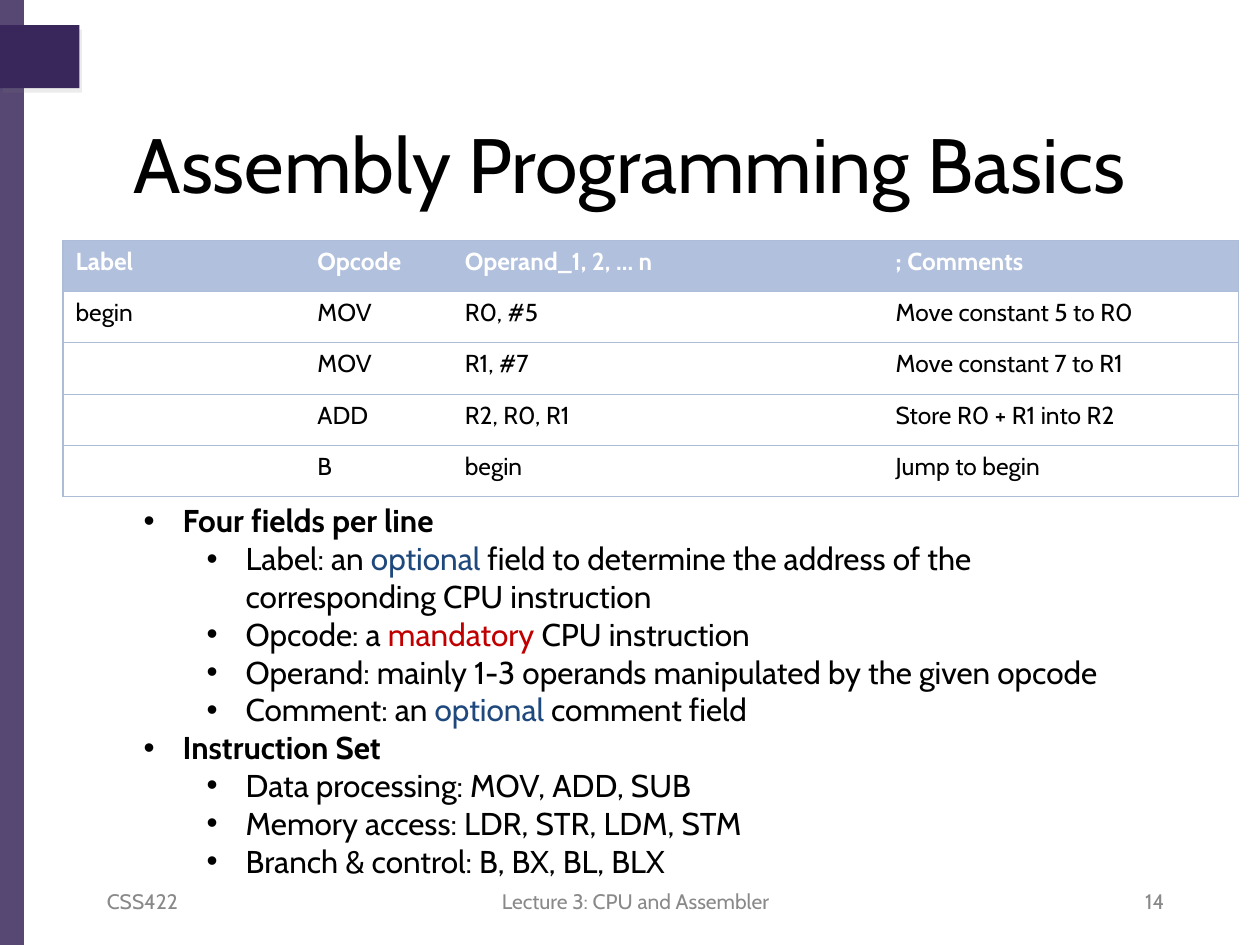
from typing import NamedTuple

from lxml.etree import SubElement
from pptx import Presentation
from pptx.dml.color import RGBColor
from pptx.enum.shapes import MSO_SHAPE
from pptx.enum.text import MSO_ANCHOR, PP_ALIGN
from pptx.oxml.ns import qn
from pptx.util import Inches, Pt

FONT = "Cabin"
BLACK, WHITE, GREY = "000000", "FFFFFF", "898989"
PURPLE, BLUE, RED = "39275B", "1F497D", "C00000"
HEADER_FILL, RULE = "B1C0DC", "ADBCD7"


class Bar(NamedTuple):
    top: float
    width: float
    height: float


class Footer(NamedTuple):
    text: str
    left: float
    width: float
    align: PP_ALIGN


class Bullet(NamedTuple):
    level: int
    pieces: tuple


FOOTERS = [
    Footer("CSS422", 0.75, 2.33, PP_ALIGN.LEFT),
    Footer("Lecture 3: CPU and Assembler", 3.46, 3.17, PP_ALIGN.CENTER),
    Footer("14", 7.01, 2.33, PP_ALIGN.RIGHT),
]
COLUMN_WIDTHS = [1.92, 1.17, 3.42, 2.82]
ROWS = [
    ["Label", "Opcode", "Operand_1, 2, ... n", "; Comments"],
    ["begin", "MOV", "R0, #5", "Move constant 5 to R0"],
    ["", "MOV", "R1, #7", "Move constant 7 to R1"],
    ["", "ADD", "R2, R0, R1", "Store R0 + R1 into R2"],
    ["", "B", "begin", "Jump to begin"],
]
BULLETS = [
    Bullet(0, (("Four fields per line", BLACK),)),
    Bullet(1, (("Label: an ", BLACK), ("optional", BLUE),
               (" field to determine the address of the corresponding CPU instruction", BLACK))),
    Bullet(1, (("Opcode: a ", BLACK), ("mandatory", RED), (" CPU instruction", BLACK))),
    Bullet(1, (("Operand: mainly 1-3 operands manipulated by the given opcode", BLACK),)),
    Bullet(1, (("Comment: an ", BLACK), ("optional", BLUE), (" comment field", BLACK))),
    Bullet(0, (("Instruction Set", BLACK),)),
    Bullet(1, (("Data processing: MOV, ADD, SUB", BLACK),)),
    Bullet(1, (("Memory access: LDR, STR, LDM, STM", BLACK),)),
    Bullet(1, (("Branch & control: B, BX, BL, BLX", BLACK),)),
]


def rgb(color: str) -> RGBColor:
    return RGBColor.from_string(color)


def write(para, text: str, *, size: float, color: str = BLACK, bold: bool = False, align=None) -> None:
    if align is not None:
        para.alignment = align
    span = para.add_run()
    span.text = text
    span.font.name = FONT
    span.font.size = Pt(size)
    span.font.bold = bold
    span.font.color.rgb = rgb(color)


def place(box, left: float, top: float, width: float, height: float) -> None:
    box.left, box.top = Inches(left), Inches(top)
    box.width, box.height = Inches(width), Inches(height)


def draw_bar(page, bar: Bar):
    shape = page.shapes.add_shape(
        MSO_SHAPE.RECTANGLE, 0, Inches(bar.top), Inches(bar.width), Inches(bar.height))
    shape.shadow.inherit = False
    shape.fill.solid()
    shape.fill.fore_color.rgb = rgb(PURPLE)
    shape.line.fill.background()
    return shape


def set_alpha(color_element, percent: int) -> None:
    SubElement(color_element, qn("a:alpha"), val=str(percent * 1000))


def add_shadow(shape) -> None:
    effects = shape._element.spPr.find(qn("a:effectLst"))
    shadow = SubElement(effects, qn("a:outerShdw"), blurRad="0", dist=str(Pt(3)),
                        dir=str(60 * 60000), algn="tl", rotWithShape="0")
    set_alpha(SubElement(shadow, qn("a:srgbClr"), val="808080"), 15)


def draw_footer(page, footer: Footer) -> None:
    box = page.shapes.add_textbox(
        Inches(footer.left), Inches(6.95), Inches(footer.width), Inches(0.4))
    frame = box.text_frame
    frame.word_wrap = True
    frame.vertical_anchor = MSO_ANCHOR.MIDDLE
    write(frame.paragraphs[0], footer.text, size=12, color=GREY, align=footer.align)


def set_borders(cell, visible: dict) -> None:
    properties = cell._tc.get_or_add_tcPr()
    for position, (side, shown) in enumerate(visible.items()):
        line = properties.makeelement(qn(f"a:{side}"), {"w": str(Pt(0.75))})
        properties.insert(position, line)
        if shown:
            fill = SubElement(line, qn("a:solidFill"))
            SubElement(fill, qn("a:srgbClr"), val=RULE)
        else:
            SubElement(line, qn("a:noFill"))


def draw_table(page) -> None:
    frame = page.shapes.add_table(len(ROWS), len(COLUMN_WIDTHS), Inches(0.5), Inches(1.91),
                                  Inches(sum(COLUMN_WIDTHS)), Inches(2.03))
    table = frame.table
    table.first_row = table.horz_banding = False
    for column, width in zip(table.columns, COLUMN_WIDTHS):
        column.width = Inches(width)
    last = len(COLUMN_WIDTHS) - 1
    for row_index, row in enumerate(ROWS):
        header = row_index == 0
        for column_index, text in enumerate(row):
            cell = table.cell(row_index, column_index)
            cell.fill.solid()
            cell.fill.fore_color.rgb = rgb(HEADER_FILL if header else WHITE)
            set_borders(cell, {"lnL": column_index == 0, "lnR": column_index == last,
                               "lnT": True, "lnB": True})
            if text:
                write(cell.text_frame.paragraphs[0], text, size=14,
                      color=WHITE if header else BLACK, bold=header)


def write_bullet(para, bullet: Bullet) -> None:
    properties = para._p.get_or_add_pPr()
    properties.set("marL", str(Inches(0.31 + 0.5 * bullet.level)))
    properties.set("indent", str(Inches(-0.31)))
    SubElement(properties, qn("a:buFont"), typeface="Arial")
    SubElement(properties, qn("a:buChar"), char="•")
    para.level = bullet.level
    para.space_before = Pt(0)
    for text, color in bullet.pieces:
        write(para, text, size=18, color=color, bold=bullet.level == 0)


def main() -> None:
    deck = Presentation()
    deck.slide_width, deck.slide_height = Inches(10), Inches(7.5)
    page = deck.slides.add_slide(deck.slide_layouts[1])
    title, body = page.placeholders

    stripe = draw_bar(page, Bar(0, 0.19, 7.5))
    set_alpha(stripe._element.spPr.find(qn("a:solidFill"))[0], 85)
    add_shadow(draw_bar(page, Bar(0.2, 0.63, 0.5)))

    place(title, 0.5, 0.83, 9, 0.92)
    title.text_frame.vertical_anchor = MSO_ANCHOR.MIDDLE
    write(title.text_frame.paragraphs[0], "Assembly Programming Basics",
          size=44, align=PP_ALIGN.CENTER)

    for footer in FOOTERS:
        draw_footer(page, footer)
    draw_table(page)

    place(body, 1.04, 3.93, 7.92, 3.43)
    frame = body.text_frame
    frame.word_wrap = True
    for index, bullet in enumerate(BULLETS):
        write_bullet(frame.add_paragraph() if index else frame.paragraphs[0], bullet)

    deck.save("out.pptx")


if __name__ == "__main__":
    main()
